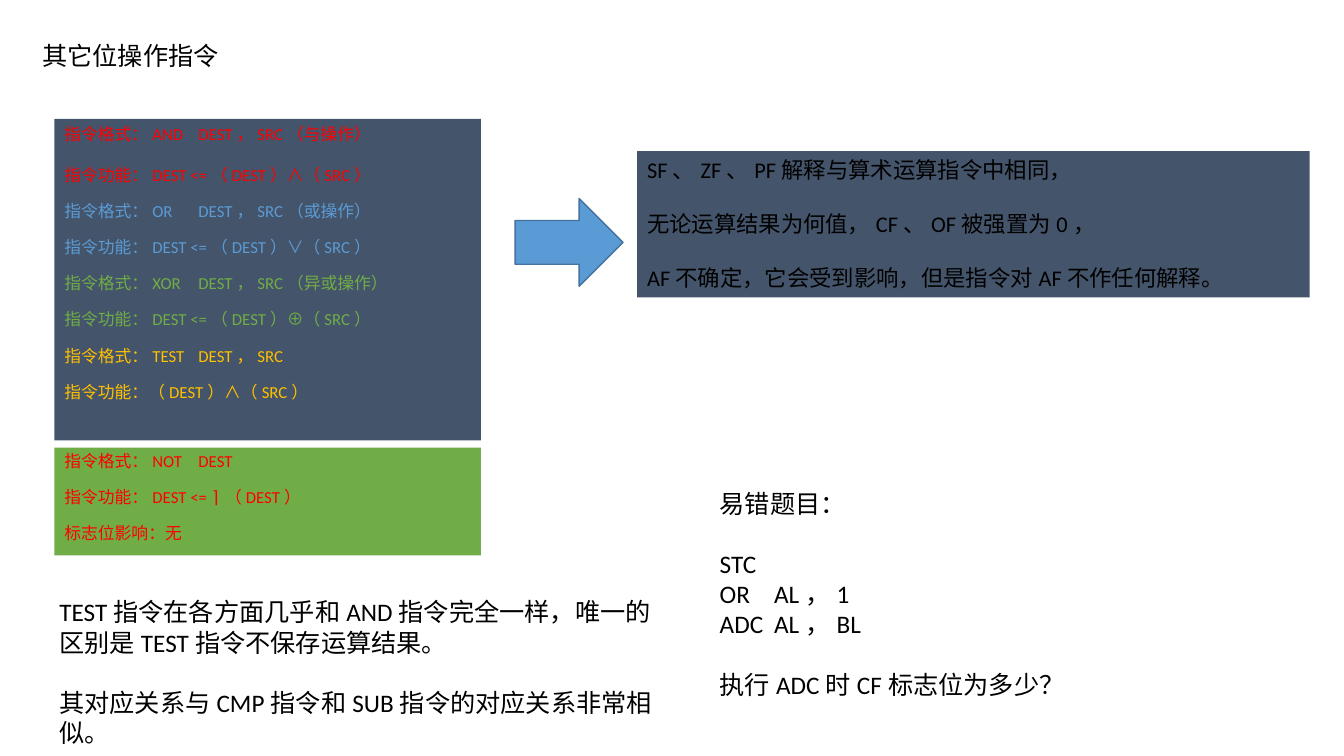
import pptx
import pptx.dml.color
import pptx.enum.shapes
import pptx.enum.text
import pptx.util
from dataclasses import dataclass
from lxml import etree

Inches = pptx.util.Inches
Pt = pptx.util.Pt
SHAPE = pptx.enum.shapes.MSO_SHAPE
RGB = pptx.dml.color.RGBColor.from_string


@dataclass(frozen=True)
class Theme:
    font: str = "Calibri"
    logic_font: str = "Noto Sans CJK SC"
    not_font: str = "DejaVu Sans Mono"
    black: str = "000000"
    slate: str = "44546A"
    red: str = "FF0000"
    blue: str = "5B9BD5"
    blue_edge: str = "43739E"
    green: str = "70AD47"
    amber: str = "FFC000"
    small: int = 12
    medium: int = 16
    large: int = 18
    line_factor: float = 1.2
    tight: float = 0.9


@dataclass
class Line:
    text: str
    color: str = "000000"
    gap: bool = True
    spacing: float = 1.0


class Deck:
    def __init__(self, prs, theme):
        self.theme = theme
        self.slide = prs.slides.add_slide(prs.slide_layouts[5])

    def add_run(self, p, text, size, color, font):
        r = p.add_run()
        r.text = text
        r.font.size = Pt(size)
        r.font.name = font
        r.font.color.rgb = RGB(color)

    def fill_text(self, sp, lines, size, tab=None, grow=False):
        t = self.theme
        symbol_fonts = {"∧": t.logic_font, "∨": t.logic_font,
                        "⊕": t.logic_font, "⌉": t.not_font}
        tf = sp.text_frame
        tf.word_wrap = True
        tf.vertical_anchor = pptx.enum.text.MSO_ANCHOR.TOP
        auto = pptx.enum.text.MSO_AUTO_SIZE
        tf.auto_size = auto.SHAPE_TO_FIT_TEXT if grow else auto.NONE
        for i, line in enumerate(lines):
            p = tf.paragraphs[0] if i == 0 else tf.add_paragraph()
            p.alignment = pptx.enum.text.PP_ALIGN.LEFT
            p.line_spacing = line.spacing
            blank_line = size * t.line_factor * line.spacing
            p.space_before = Pt(blank_line if i and line.gap else 0)
            if "\t" in line.text:
                self.set_tab(p, tab)
            symbol = next((c for c in line.text if c in symbol_fonts), None)
            if symbol is None:
                self.add_run(p, line.text, size, line.color, t.font)
                continue
            before, after = line.text.split(symbol)
            for text, font in ((before, t.font), (symbol, symbol_fonts[symbol]),
                               (after, t.font)):
                self.add_run(p, text, size, line.color, font)

    def set_tab(self, p, position):
        ns = pptx.oxml.ns.qn
        tabs = etree.SubElement(p._p.get_or_add_pPr(), ns("a:tabLst"))
        etree.SubElement(tabs, ns("a:tab"), pos=str(Inches(position)), algn="l")

    def title(self, text, box):
        sp = self.slide.shapes.title
        sp.left, sp.top, sp.width, sp.height = map(Inches, box)
        self.fill_text(sp, [Line(text, self.theme.black)], self.theme.large)

    def text(self, lines, box, tab=None):
        sp = self.slide.shapes.add_textbox(*map(Inches, box))
        self.fill_text(sp, lines, self.theme.large, tab, grow=True)

    def shape(self, kind, box, fill, edge=None):
        sp = self.slide.shapes.add_shape(kind, *map(Inches, box))
        sp.shadow.inherit = False
        sp.fill.solid()
        sp.fill.fore_color.rgb = RGB(fill)
        if edge:
            sp.line.color.rgb = RGB(edge)
            sp.line.width = Pt(1)
        else:
            sp.line.fill.background()
        return sp

    def panel(self, lines, box, fill, size, tab=None, grow=False):
        sp = self.shape(SHAPE.RECTANGLE, box, fill)
        self.fill_text(sp, lines, size, tab, grow)


def main():
    prs = pptx.Presentation()
    prs.slide_width, prs.slide_height = Inches(13.33), Inches(7.5)
    t = Theme()
    deck = Deck(prs, t)
    operand_tab = 1.33

    deck.title("其它位操作指令", (0.32, 0.35, 2.97, 0.4))

    instructions = [
        (t.red, 1.0, "AND\tDEST，SRC（与操作）", "DEST <=（DEST）∧（SRC）"),
        (t.blue, t.tight, "OR\tDEST，SRC（或操作）", "DEST <=（DEST）∨（SRC）"),
        (t.green, t.tight, "XOR\tDEST，SRC（异或操作）", "DEST <=（DEST）⊕（SRC）"),
        (t.amber, t.tight, "TEST\tDEST，SRC", "（DEST）∧（SRC）"),
    ]
    binary_lines = [
        Line(label + text, color, spacing=spacing)
        for color, spacing, syntax, effect in instructions
        for label, text in (("指令格式：", syntax), ("指令功能：", effect))
    ]
    deck.panel(binary_lines, (0.54, 1.18, 4.23, 3.19), t.slate, t.small, operand_tab)

    flag_lines = [Line(s, t.black) for s in (
        "SF、ZF、PF解释与算术运算指令中相同，",
        "无论运算结果为何值，CF、OF被强置为0，",
        "AF不确定，它会受到影响，但是指令对AF不作任何解释。",
    )]
    deck.panel(flag_lines, (6.32, 1.5, 6.67, 1.45), t.slate, t.medium, grow=True)
    deck.shape(SHAPE.RIGHT_ARROW, (5.11, 1.97, 1.07, 0.87), t.blue, t.blue_edge)

    deck.text([
        Line("易错题目：", t.black),
        Line("STC", t.black),
        Line("OR\tAL，1", t.black, gap=False),
        Line("ADC\tAL，BL", t.black, gap=False),
        Line("执行ADC时CF标志位为多少？", t.black),
    ], (7.04, 4.79, 3.4, 2.22), tab=0.54)

    deck.text([
        Line("TEST指令在各方面几乎和AND指令完全一样，唯一的区别是TEST指令不保存运算结果。", t.black),
        Line("其对应关系与CMP指令和SUB指令的对应关系非常相似。", t.black),
    ], (0.49, 5.87, 6.24, 1.31))

    not_lines = [Line(s, t.red, spacing=t.tight) for s in (
        "指令格式：NOT\tDEST", "指令功能：DEST <= ⌉（DEST）", "标志位影响：无")]
    deck.panel(not_lines, (0.54, 4.44, 4.23, 1.07), t.green, t.small, operand_tab)

    prs.save("out.pptx")


if __name__ == "__main__":
    main()
